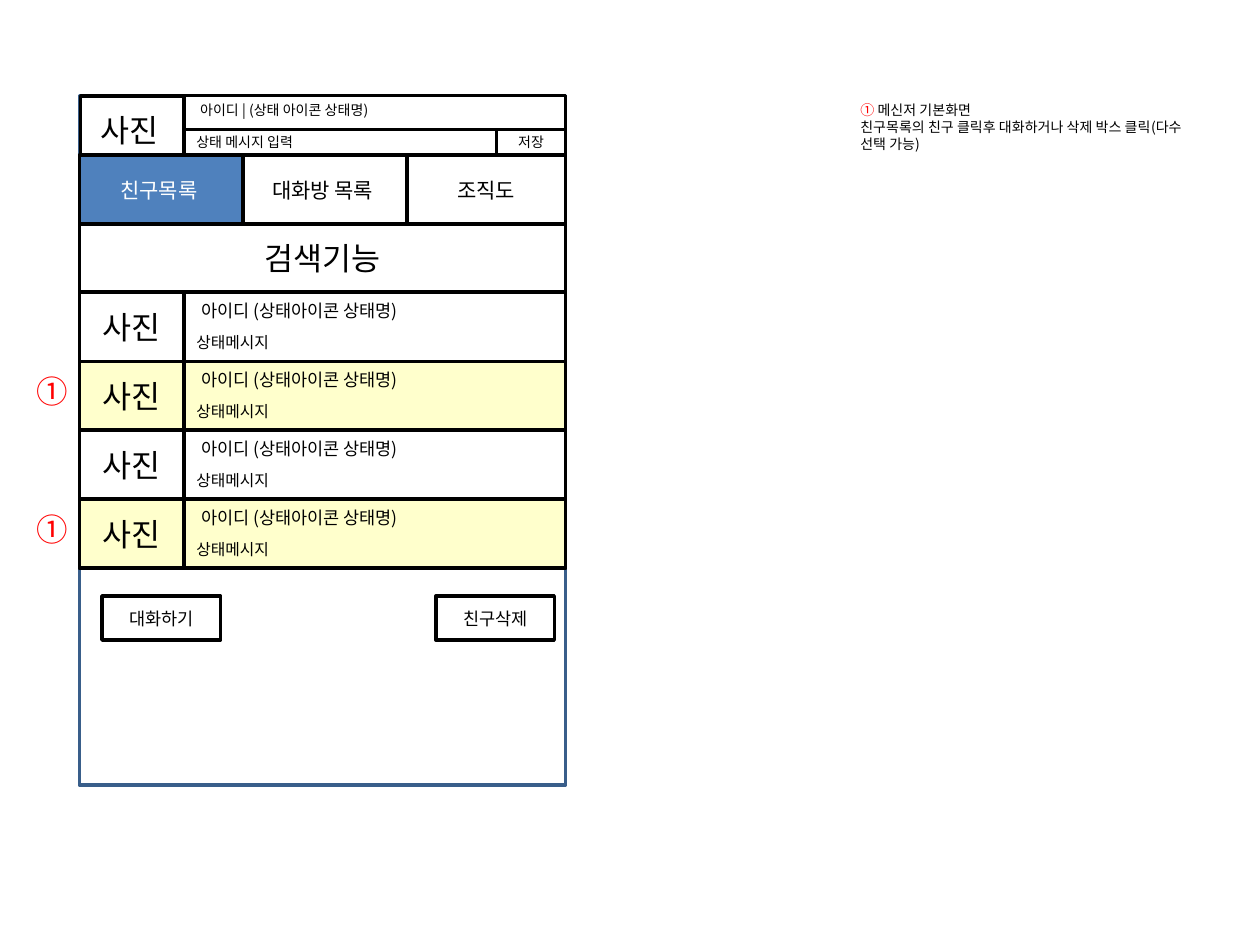
"""Build a messenger home screen wireframe with its usage note."""
from pptx import Presentation, util as u
from pptx.dml.color import RGBColor
from pptx.enum import shapes, text
from pptx.oxml.ns import qn
from lxml import etree

FONT = "Noto Sans CJK KR"
BLACK = RGBColor(0, 0, 0)
WHITE = RGBColor(255, 255, 255)
RED = RGBColor(255, 0, 0)
BLUE = RGBColor(0x4F, 0x81, 0xBD)
NAVY = RGBColor(0x39, 0x5E, 0x8A)
CREAM = RGBColor(0xFF, 0xFF, 0xCC)

LEFT, SPLIT, RIGHT = 0.63, 1.46, 4.49
WIDE, PHOTO, INFO = RIGHT - LEFT, SPLIT - LEFT, RIGHT - SPLIT
TOP, LIST, END = 0.76, 2.32, 4.51

TABS = [("친구목록 ", 1.3, BLUE, WHITE), ("대화방 목록 ", 1.3, WHITE, BLACK),
        ("조직도", 1.26, WHITE, BLACK)]
FRIENDS = [
    ("사진", "아이디 (상태아이콘 상태명)", "상태메시지", False),
    ("사진", "아이디 (상태아이콘 상태명)", "상태메시지", True),
    ("사진", "아이디 (상태아이콘 상태명)", "상태메시지", False),
    ("사진", "아이디 (상태아이콘 상태명)", "상태메시지", True),
]
BUTTONS = [("대화하기", 0.81), ("친구삭제", 3.46)]
MARK = "①"
NOTE = [[(MARK + " ", RED), ("메신저 기본화면", BLACK)],
        [("친구목록의 친구 클릭후 대화하거나 삭제 박스 클릭(다수 선택 가능)", BLACK)]]

deck = Presentation()
deck.slide_width, deck.slide_height = u.Inches(10), u.Inches(7.5)
slide = deck.slides.add_slide(deck.slide_layouts[6])


def style(run, size, color):
    run.font.size = u.Pt(size)
    run.font.name = FONT
    run.font.color.rgb = color
    east = etree.SubElement(run.font._element, qn("a:ea"))
    east.set("typeface", FONT)


def box(x, y, w, h, words="", size=18, fill=WHITE, color=BLACK, line=BLACK,
        align=text.PP_ALIGN.CENTER):
    rect = slide.shapes.add_shape(shapes.MSO_SHAPE.RECTANGLE, *map(u.Inches, (x, y, w, h)))
    rect.shadow.inherit = False
    rect.fill.solid()
    rect.fill.fore_color.rgb = fill
    rect.line.color.rgb = line
    rect.line.width = u.Pt(2)
    if words:
        frame = rect.text_frame
        frame.text = words
        frame.vertical_anchor = text.MSO_ANCHOR.MIDDLE
        para = frame.paragraphs[0]
        para.alignment = align
        style(para.runs[0], size, color)


def label(x, y, w, h, lines, size, wrap=True):
    frame = slide.shapes.add_textbox(*map(u.Inches, (x, y, w, h))).text_frame
    frame.word_wrap = wrap
    for i, parts in enumerate(lines):
        para = frame.add_paragraph() if i else frame.paragraphs[0]
        for words, color in parts:
            run = para.add_run()
            run.text = words
            style(run, size, color)


def head():
    box(LEFT, TOP, WIDE, 5.47, line=NAVY)
    box(LEFT + 0.01, TOP, PHOTO - 0.01, 0.48)
    label(0.7, 0.83, 0.79, 0.4, [[("사진", BLACK)]], 18)
    box(SPLIT, TOP, INFO, 0.27)
    label(1.49, TOP, 2.88, 0.24, [[("아이디 | (상태 아이콘 상태명)", BLACK)]], 8)
    box(SPLIT, 1.03, INFO, 0.2, "상태 메시지 입력", 8, align=text.PP_ALIGN.LEFT)
    box(3.94, 1.03, 0.55, 0.2, "저장", 8)
    x = LEFT
    for words, w, fill, color in TABS:
        box(x, 1.23, w, 0.55, words, 12, fill, color)
        x += w


def friends():
    step = (END - LIST) / len(FRIENDS)
    for i, (photo, name, status, picked) in enumerate(FRIENDS):
        y = LIST + i * step
        fill = CREAM if picked else WHITE
        box(LEFT, y, PHOTO, step, photo, fill=fill)
        box(SPLIT, y, INFO, step, fill=fill)
        label(SPLIT, y + 0.27, 1.01, 0.25, [[(status, BLACK)]], 9)
        label(1.5, y + 0.01, 2.36, 0.44, [[(name, BLACK)]], 10)
        if picked:
            label(0.19, y + 0.04, 0.45, 0.4, [[(MARK, RED)]], 18, False)


head()
friends()
box(LEFT, 1.78, WIDE, 0.54, "검색기능")
for words, x in BUTTONS:
    box(x, 4.73, 0.94, 0.35, words, 10)
label(6.73, TOP, 2.76, 0.5, NOTE, 8)
deck.save("out.pptx")
